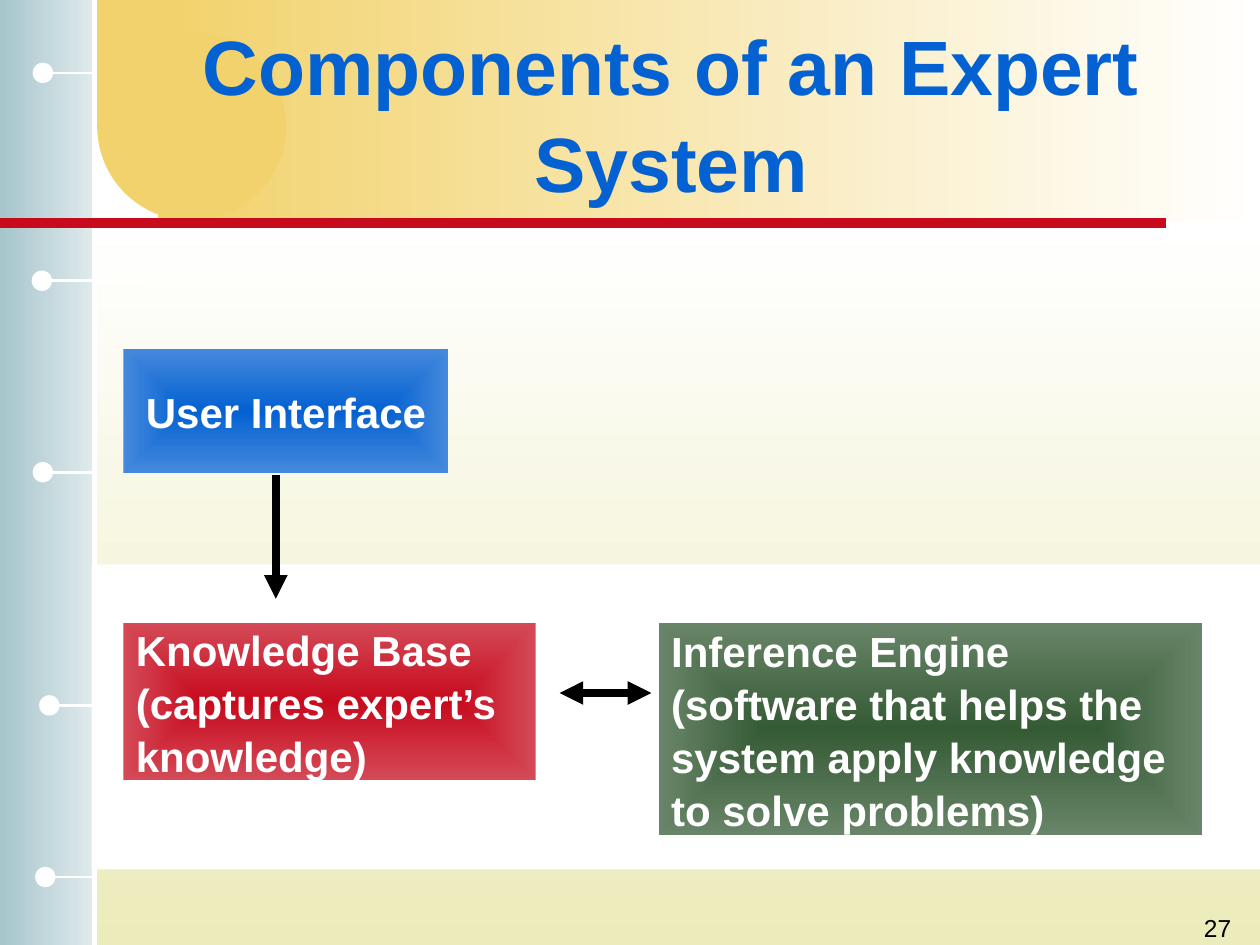
"""Build the slide on the components of an expert system."""
from lxml import etree
from pptx import Presentation
from pptx import util as u
from pptx.dml.color import RGBColor
from pptx.enum import shapes, text
from pptx.oxml import parse_xml
from pptx.oxml.ns import nsdecls, qn

RECTANGLE, OVAL = shapes.MSO_SHAPE.RECTANGLE, shapes.MSO_SHAPE.OVAL
CENTER, LEFT, RIGHT = text.PP_ALIGN.CENTER, text.PP_ALIGN.LEFT, text.PP_ALIGN.RIGHT
MIDDLE, TOP = text.MSO_ANCHOR.MIDDLE, text.MSO_ANCHOR.TOP
color = RGBColor.from_string

presentation = Presentation()
presentation.slide_width, presentation.slide_height = u.Cm(25.4), u.Cm(19.05)
slide = presentation.slides.add_slide(presentation.slide_layouts[6])


def add_block(kind, box, colors, angle=None):
    shape = slide.shapes.add_shape(kind, *map(u.Cm, box))
    shape.shadow.inherit = False
    shape.line.fill.background()
    if len(colors) == 1:
        shape.fill.solid()
        shape.fill.fore_color.rgb = color(colors[0])
        return shape
    shape.fill.gradient()
    for stop, value in zip(shape.fill.gradient_stops, colors):
        stop.color.rgb = color(value)
    if angle is not None:
        shape.fill.gradient_angle = angle
    else:
        linear = shape._element.spPr.find(".//" + qn("a:lin"))
        linear.getparent().replace(linear, parse_xml(
            f'<a:path {nsdecls("a")} path="rect">'
            '<a:fillToRect l="50000" t="50000" r="50000" b="50000"/></a:path>'))
    return shape


def add_line(ends, value, width, arrows=()):
    connector = slide.shapes.add_connector(
        shapes.MSO_CONNECTOR.STRAIGHT, *map(u.Cm, ends))
    connector.line.color.rgb = color(value)
    connector.line.width = u.Pt(width)
    for arrow in arrows:
        etree.SubElement(connector.line._get_or_add_ln(), qn(f"a:{arrow}"), type="triangle")
    etree.SubElement(connector._element.spPr, qn("a:effectLst"))


add_block(RECTANGLE, (1.85, 4.5, 23.55, 14.55), ("FFFFFF", "ECEBBB"), 270)
add_block(RECTANGLE, (0, 0, 1.9, 19.05), ("E0EAEC", "A6C5CC"), 180)
add_block(RECTANGLE, (3.18, 0, 22.22, 4.45), ("FFFFFF", "F2D26C"), 180)
add_block(OVAL, (1.96, 0.64, 3.81, 3.81), ("F2D26C",))
add_block(RECTANGLE, (1.96, 0, 1.7, 2.44), ("F2D26C",))
add_line((1.9, 0, 1.9, 19.05), "FFFFFF", 3)

dot_size = 0.41
for dot_left, middle, line_left, line_right in (
    (0.66, 1.47, 1.07, 1.9),
    (0.64, 5.66, 0.84, 2.97),
    (0.66, 9.52, 1.02, 1.85),
    (0.79, 14.22, 1.07, 1.9),
    (0.71, 17.68, 1.02, 1.85),
):
    add_line((line_right, middle, line_left, middle), "FFFFFF", 1.5)
    add_block(OVAL, (dot_left, middle - dot_size / 2, dot_size, dot_size), ("FFFFFF",))

add_line((0, 4.5, 23.5, 4.5), "C70B1D", 6)
add_block(RECTANGLE, (1.85, 11.38, 23.55, 6.15), ("FFFFFF",))

title = slide.shapes.add_textbox(*map(u.Cm, (2.74, 0.64, 21.59, 3.18)))
interface = add_block(RECTANGLE, (2.49, 7.04, 6.55, 2.49), ("0461D2", "4589DC"))
knowledge = add_block(RECTANGLE, (2.49, 12.55, 8.31, 3.18), ("C70B1D", "D44A58"))
engine = add_block(RECTANGLE, (13.28, 12.55, 10.95, 4.29), ("355B35", "698569"))
number = slide.shapes.add_textbox(*map(u.Cm, (19.79, 18.26, 5.28, 1.27)))

for shape, lines, size, value, bold, align, anchor in (
    (title, ["Components of an Expert System"], 44, "0461D2", True, CENTER, MIDDLE),
    (interface, ["User Interface"], 24, "FFFFFF", True, CENTER, MIDDLE),
    (knowledge, ["Knowledge Base", "(captures expert’s", "knowledge)"],
     24, "FFFFFF", True, LEFT, MIDDLE),
    (engine, ["Inference Engine", "(software that helps the",
              "system apply knowledge", "to solve problems)"],
     24, "FFFFFF", True, LEFT, MIDDLE),
    (number, ["27"], 14, "000000", False, RIGHT, TOP),
):
    frame = shape.text_frame
    frame.word_wrap = True
    frame.vertical_anchor = anchor
    frame.text = "\n".join(lines)
    for paragraph in frame.paragraphs:
        paragraph.alignment = align
        paragraph.line_spacing = 1.05
        paragraph.font.name = "Arial"
        paragraph.font.size = u.Pt(size)
        paragraph.font.bold = bold
        paragraph.font.color.rgb = color(value)

add_line((11.28, 13.97, 13.13, 13.97), "000000", 4.5, ("headEnd", "tailEnd"))
add_line((5.56, 9.58, 5.56, 12.07), "000000", 4.5, ("tailEnd",))

presentation.save("out.pptx")
